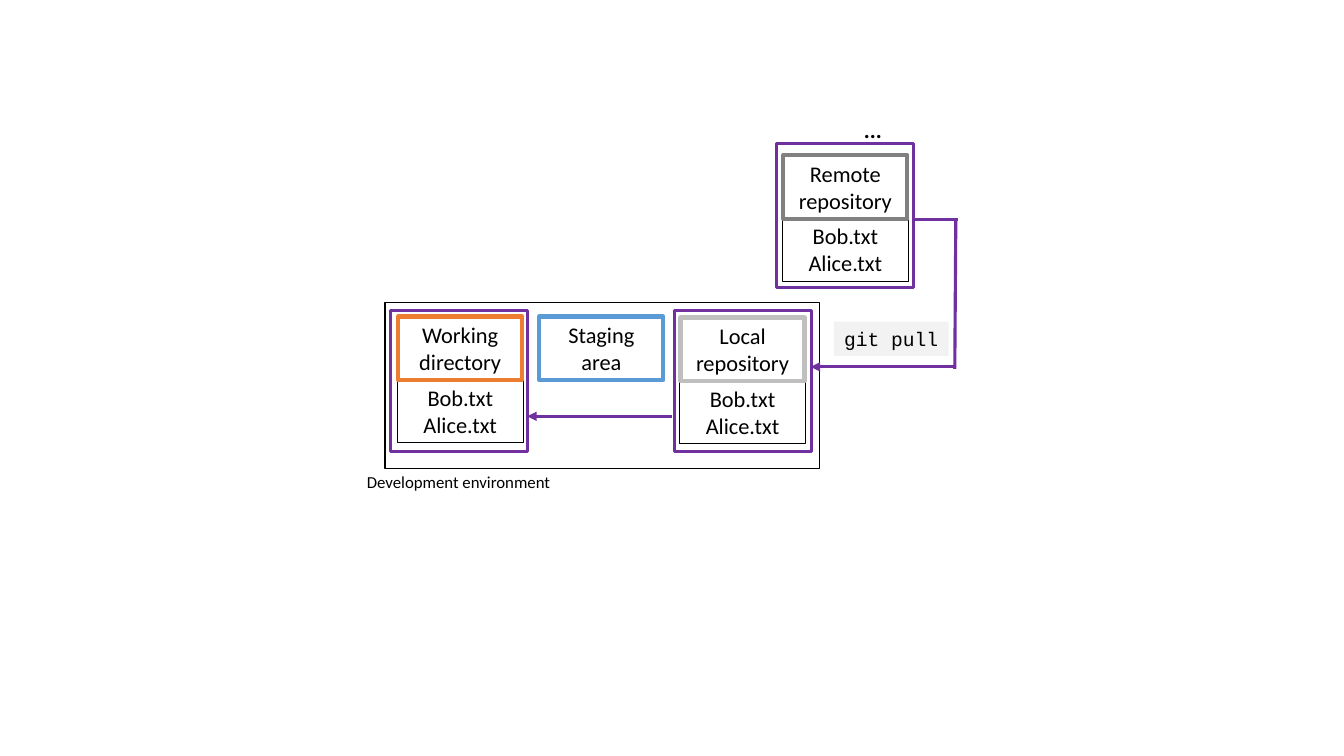
from lxml import etree
from pptx import Presentation
from pptx.dml.color import RGBColor
from pptx.enum.shapes import MSO_CONNECTOR, MSO_SHAPE
from pptx.enum.text import MSO_ANCHOR, PP_ALIGN
from pptx.oxml.ns import qn
from pptx.util import Pt

PX = 9144  # 100 px to the inch
RECTANGLE = MSO_SHAPE.RECTANGLE
STRAIGHT = MSO_CONNECTOR.STRAIGHT
MIDDLE = MSO_ANCHOR.MIDDLE
CENTER, LEFT = PP_ALIGN.CENTER, PP_ALIGN.LEFT

COLORS = {
    "black": "000000",
    "working": "ED7D31",
    "staging": "5B9BD5",
    "local": "BFBFBF",
    "remote": "808080",
    "pull": "7030A0",
    "command": "F2F2F2",
}
FILES = "Bob.txt\nAlice.txt"

deck = Presentation()
deck.slide_width, deck.slide_height = 1333 * PX, 750 * PX
page = deck.slides.add_slide(deck.slide_layouts[6])


def add_box(place, line=None, weight=1, fill=None):
    box = page.shapes.add_shape(RECTANGLE, *[value * PX for value in place])
    box.shadow.inherit = False
    if fill:
        box.fill.solid()
        box.fill.fore_color.rgb = RGBColor.from_string(COLORS[fill])
    else:
        box.fill.background()
    if line:
        box.line.color.rgb = RGBColor.from_string(COLORS[line])
        box.line.width = Pt(weight)
    else:
        box.line.fill.background()
    return box


def write(box, text, size=16, font="Calibri", align=CENTER, bold=False, wrap=True):
    frame = box.text_frame
    frame.text = text
    frame.word_wrap = wrap
    for para in frame.paragraphs:
        para.alignment = align
        for span in para.runs:
            span.font.name = font
            span.font.size = Pt(size)
            span.font.bold = bold
            span.font.color.rgb = RGBColor.from_string(COLORS["black"])


# Development environment
add_box((382, 300, 431, 165), "black", 1)

# Areas: title, left, top, colour, whether it holds the files
areas = [
    ("Working directory", 395, 314, "working", True),
    ("Staging area", 535, 314, "staging", False),
    ("Local repository", 675, 315, "local", True),
    ("Remote\nrepository", 777, 154, "remote", True),
]
for title, left, top, color, has_files in areas:
    if has_files:
        files = add_box((left - 1, top + 62, 125, 63), "black", 0.25)
        files.text_frame.vertical_anchor = MIDDLE
        write(files, FILES)
    heading = add_box((left, top, 123, 63), color, 3)
    heading.text_frame.vertical_anchor = MIDDLE
    write(heading, title)

# Plain labels: text, place, size, bold
labels = [
    ("Development environment", (354, 463, 204, 30), 12, False),
    ("...", (847, 110, 38, 37), 16, True),
]
for text, place, size, bold in labels:
    label = page.shapes.add_textbox(*[value * PX for value in place])
    write(label, text, size, align=LEFT, bold=bold, wrap=False)

command = add_box((827, 319, 114, 34), fill="command")
command.text_frame.vertical_anchor = MIDDLE
write(command, "git pull", 14, "Courier New", wrap=False)

# Frames around the areas that take part in the pull
for frame_place in [(387, 308, 136, 140), (669, 308, 136, 140), (770, 142, 136, 143)]:
    add_box(frame_place, "pull", 2.25)

# Pull route: start, end, whether it ends in an arrowhead
route = [
    ((950, 218), (906, 218), False),
    ((948, 217), (947, 366), False),
    ((947, 364), (804, 364), True),
    ((667, 413), (523, 413), True),
]
for start, end, has_arrow in route:
    points = [value * PX for value in start + end]
    connector = page.shapes.add_connector(STRAIGHT, *points)
    connector.line.color.rgb = RGBColor.from_string(COLORS["pull"])
    connector.line.width = Pt(2.25)
    if has_arrow:
        etree.SubElement(connector.line._get_or_add_ln(), qn("a:tailEnd"), type="triangle")
    etree.SubElement(connector._element.spPr, qn("a:effectLst"))

deck.save("out.pptx")
